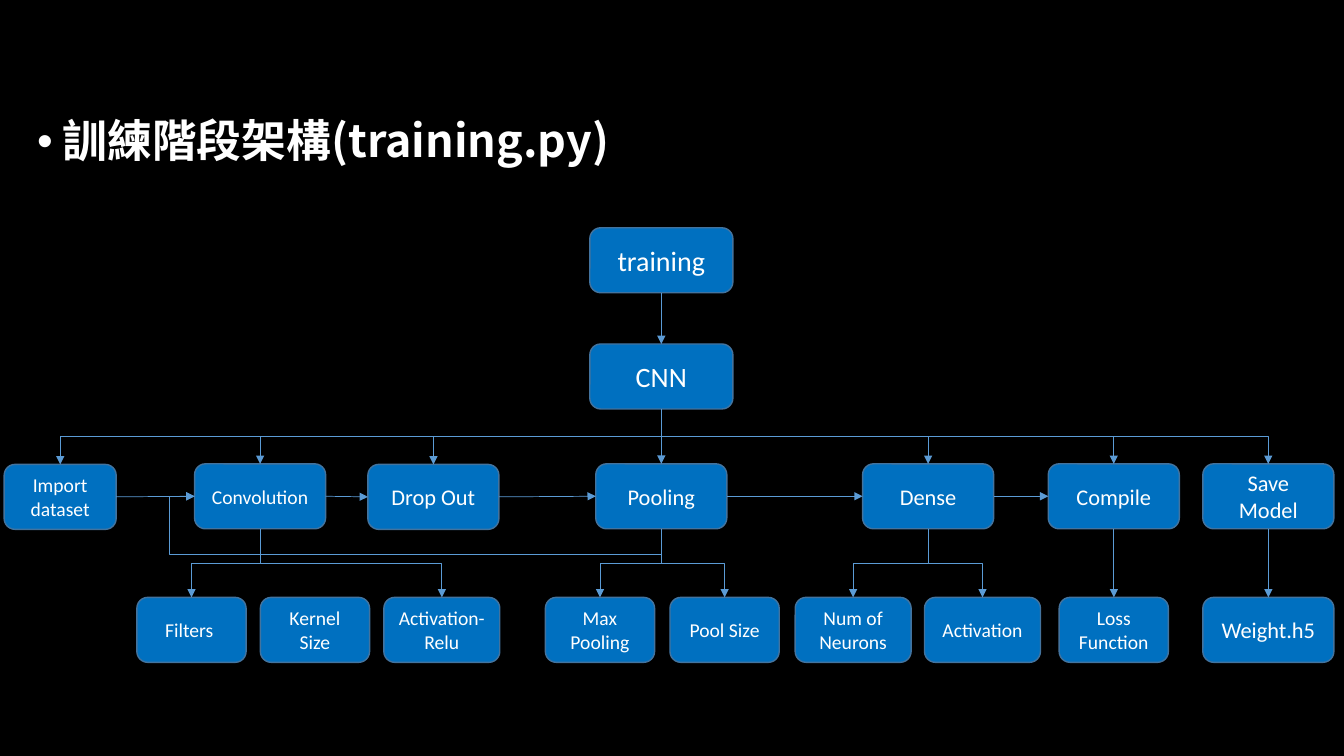
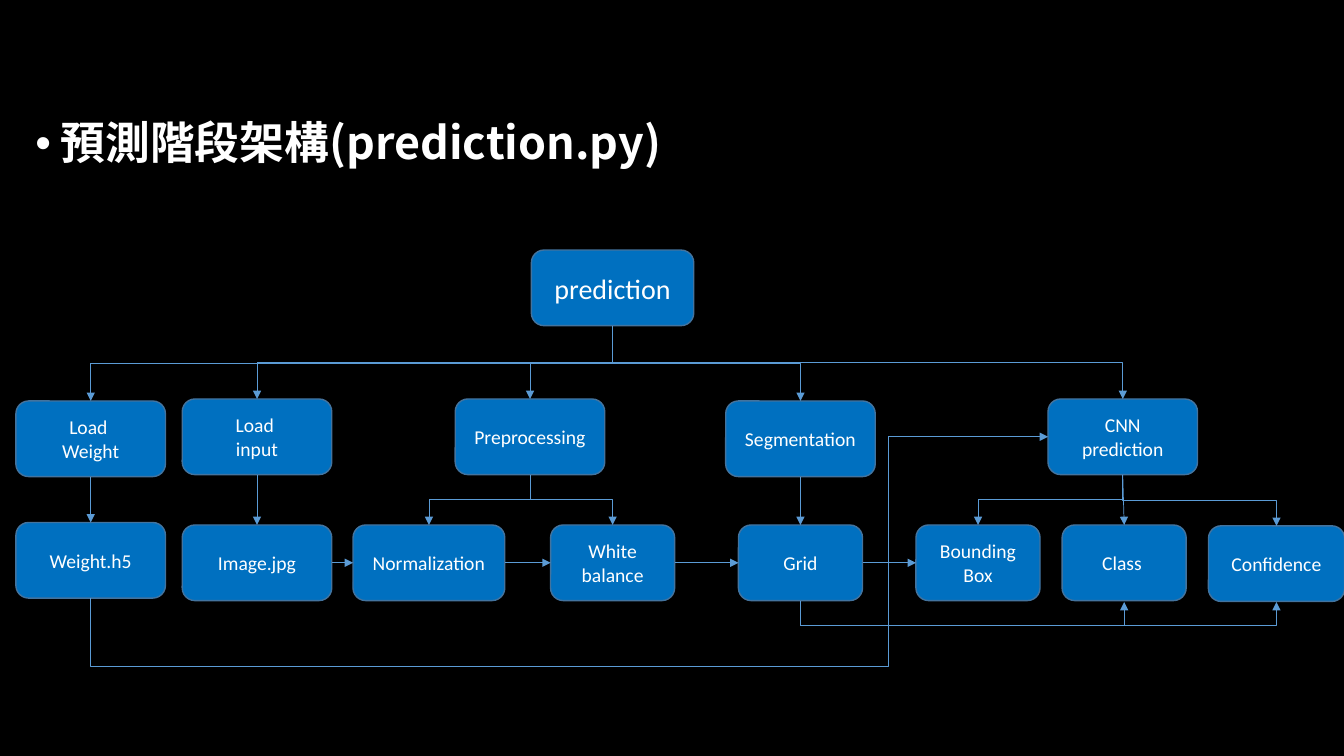
from pptx import Presentation
from pptx.dml.color import RGBColor
from pptx.enum.shapes import MSO_CONNECTOR as CXN, MSO_SHAPE
from pptx.enum.text import MSO_ANCHOR, MSO_AUTO_SIZE, PP_ALIGN
from pptx.oxml.ns import qn
from pptx.util import Pt
from lxml.etree import SubElement

BLACK, WHITE = "000000", "FFFFFF"
NODE_FILL, NODE_LINE, ARROW = "0070C0", "43739E", "5B9BD5"
BODY_FONT, TITLE_FONT = "Calibri", "Noto Sans CJK SC"
TOP, LEFT, BOTTOM, RIGHT = range(4)  # connection sites of a rounded rectangle


def paint(fmt, color):
    fmt.solid()
    fmt.fore_color.rgb = RGBColor.from_string(color)


def style_font(font, name, size, bold=False):
    font.name, font.size, font.bold = name, Pt(size), bold
    paint(font.fill, WHITE)


def add_title(slide, text, left, top):
    sp = slide.shapes.title
    sp.left, sp.top, sp.width, sp.height = Pt(left), Pt(top), Pt(515), Pt(42)
    tf = sp.text_frame
    tf.text = text
    tf.auto_size = MSO_AUTO_SIZE.NONE
    tf.vertical_anchor = MSO_ANCHOR.TOP
    p = tf.paragraphs[0]
    pPr = p._p.get_or_add_pPr()
    pPr.set("marL", str(Pt(18)))
    pPr.set("indent", str(-Pt(18)))
    SubElement(pPr, qn("a:buFont"), typeface="Arial")
    SubElement(pPr, qn("a:buChar"), char="•")
    p.alignment = PP_ALIGN.LEFT
    p.line_spacing = 0.9
    r = p.runs[0]
    style_font(r.font, TITLE_FONT, 32, True)
    SubElement(r._r.get_or_add_rPr(), qn("a:ea"), typeface=TITLE_FONT)


def add_node(slide, text, center, top, width, height, size):
    sp = slide.shapes.add_shape(MSO_SHAPE.ROUNDED_RECTANGLE, Pt(center - width / 2),
                                Pt(top), Pt(width), Pt(height))
    sp.shadow.inherit = False
    paint(sp.fill, NODE_FILL)
    paint(sp.line.fill, NODE_LINE)
    sp.line.width = Pt(1)
    tf = sp.text_frame
    tf.word_wrap = True
    tf.vertical_anchor = MSO_ANCHOR.MIDDLE
    tf.text = text
    for p in tf.paragraphs:
        p.alignment = PP_ALIGN.CENTER
        for r in p.runs:
            style_font(r.font, BODY_FONT, size)
    return sp


def style_arrow(cxn):
    paint(cxn.line.fill, ARROW)
    cxn.line.width = Pt(0.5)
    spPr = cxn._element.spPr
    SubElement(spPr.find(qn("a:ln")), qn("a:tailEnd"), type="triangle")
    SubElement(spPr, qn("a:effectLst"))


def add_arrow(slide, start, end, sites):
    cxn = slide.shapes.add_connector(CXN.STRAIGHT, 0, 0, 0, 0)
    cxn.begin_connect(start, sites[0])
    cxn.end_connect(end, sites[1])
    style_arrow(cxn)


def add_elbow(slide, begin, end, bend_y=None, bend_x=None):
    """Elbow that leaves vertically, turns at bend_y and, if given, again at bend_x."""
    (x1, y1), (x2, y2) = begin, end
    mid_x, mid_y = (x1 + x2) / 2, (y1 + y2) / 2
    # The ends are turned back by 90 degrees, since the frame itself is rotated.
    ends = [int(v) for x, y in (begin, end) for v in (mid_x + y - mid_y, mid_y - x + mid_x)]
    cxn = slide.shapes.add_connector(CXN.ELBOW, *ends)
    spPr = cxn._element.spPr
    spPr.find(qn("a:xfrm")).set("rot", str(90 * 60000))
    geom = spPr.find(qn("a:prstGeom"))
    adjusts = [0.5 if bend_y is None else (bend_y - y1) / (y2 - y1)]
    if bend_x is not None:
        geom.set("prst", "bentConnector4")
        adjusts.append((bend_x - x1) / (x2 - x1))
    avLst = geom.find(qn("a:avLst"))
    for i, adjust in enumerate(adjusts, 1):
        SubElement(avLst, qn("a:gd"), name=f"adj{i}", fmla=f"val {round(adjust * 100000)}")
    style_arrow(cxn)


def site(sp, side):
    """Point in the middle of one side of a shape."""
    x, y = sp.left + sp.width / 2, sp.top + sp.height / 2
    return {TOP: (x, sp.top), LEFT: (sp.left, y),
            BOTTOM: (x, sp.top + sp.height), RIGHT: (sp.left + sp.width, y)}[side]


def add_flowchart(slide, top, height, rows, branches, drops, steps):
    """Rows hold offset from top, node width, text size and {text: centre}."""
    nodes = {}
    for offset, width, size, centers in rows:
        for text, center in centers.items():
            nodes[text] = add_node(slide, text, center, top + offset, width, height, size)
    for parent, children in branches.items():
        for child in children:
            add_elbow(slide, site(nodes[parent], BOTTOM), site(nodes[child], TOP))
    for pairs, sites in ((drops, (BOTTOM, TOP)), (steps, (RIGHT, LEFT))):
        for start, end in pairs:
            add_arrow(slide, nodes[start], nodes[end], sites)
    return nodes


def training_slide(slide, top=162.7):
    add_title(slide, "訓練階段架構(training.py)", 19.4, 81.4)
    rows = [
        (0, 102.2, 20, {"training": 472.4}),
        (83, 102.2, 20, {"CNN": 472.4}),
        (169, 80, 14, {"Import\ndataset": 43}),
        (168.6, 93.6, 14, {"Convolution": 185.8}),
        (169, 93.6, 16, {"Drop Out": 309.6}),
        (168.6, 93.6, 16, {"Pooling": 472.4, "Dense": 663, "Compile": 795.6,
                           "Save\nModel": 906}),
        (264, 78, 14, {"Filters ": 136.8, "Kernel Size": 225, "Max Pooling": 428.6,
                       "Pool Size": 517.6, "Loss Function": 795.6}),
        (264, 82.8, 14, {"Activation-Relu": 315.6, "Num of Neurons": 609.4,
                         "Activation": 701.8}),
        (264, 93.6, 16, {"Weight.h5": 906}),
    ]
    branches = {
        "CNN": ["Import\ndataset", "Convolution", "Drop Out", "Dense", "Compile",
                "Save\nModel"],
        "Convolution": ["Filters ", "Activation-Relu"],
        "Pooling": ["Max Pooling", "Pool Size"],
        "Dense": ["Num of Neurons", "Activation"],
    }
    drops = [("training", "CNN"), ("CNN", "Pooling"), ("Compile", "Loss Function"),
             ("Save\nModel", "Weight.h5")]
    chain = ["Import\ndataset", "Convolution", "Drop Out", "Pooling", "Dense", "Compile"]
    nodes = add_flowchart(slide, top, 46.4, rows, branches, drops, zip(chain, chain[1:]))
    add_elbow(slide, site(nodes["Pooling"], BOTTOM), site(nodes["Convolution"], LEFT),
              Pt(top + 233.3), Pt(121))


def prediction_slide(slide, top=178.6):
    add_title(slide, "預測階段架構(prediction.py)", 18, 82.8)
    rows = [
        (0, 116, 20, {"prediction": 437.6}),
        (106.4, 106.8, 14, {"Load \ninput": 183.6, "Preprocessing": 378.6,
                            "CNN\nprediction": 802}),
        (107.8, 106.8, 14, {"Load \nWeight": 64.8, "Segmentation": 571.8}),
        (194.6, 106.8, 14, {"Weight.h5": 64.8}),
        (196.4, 106.8, 14, {"Image.jpg": 183.6}),
        (196.4, 108.4, 14, {"Normalization": 306.4}),
        (196.4, 88.6, 14, {"White balance": 437.6, "Grid": 571.8, "Bounding Box": 698.6,
                           "Class ": 803}),
        (197, 97.2, 14, {"Confidence": 911.8}),
    ]
    branches = {
        "prediction": ["Load \nWeight", "Load \ninput", "Preprocessing", "Segmentation",
                       "CNN\nprediction"],
        "Preprocessing": ["Normalization", "White balance"],
        "CNN\nprediction": ["Bounding Box", "Confidence"],
    }
    drops = [("Load \nWeight", "Weight.h5"), ("Load \ninput", "Image.jpg"),
             ("Segmentation", "Grid"), ("CNN\nprediction", "Class ")]
    chain = ["Image.jpg", "Normalization", "White balance", "Grid", "Bounding Box"]
    nodes = add_flowchart(slide, top, 54, rows, branches, drops, zip(chain, chain[1:]))
    grid_bottom = site(nodes["Grid"], BOTTOM)
    for text in ("Class ", "Confidence"):
        end = (site(nodes[text], BOTTOM)[0], grid_bottom[1] + Pt(1))
        add_elbow(slide, grid_bottom, end, Pt(top + 268))
    add_elbow(slide, site(nodes["Weight.h5"], BOTTOM), site(nodes["CNN\nprediction"], LEFT),
              Pt(top + 297.3), Pt(634.4))


def main():
    prs = Presentation()
    prs.slide_width, prs.slide_height = Pt(960), Pt(540)
    paint(prs.slide_master.background.fill, BLACK)
    title_only = prs.slide_layouts[5]
    for build in (training_slide, prediction_slide):
        build(prs.slides.add_slide(title_only))
    prs.save("out.pptx")


if __name__ == "__main__":
    main()
